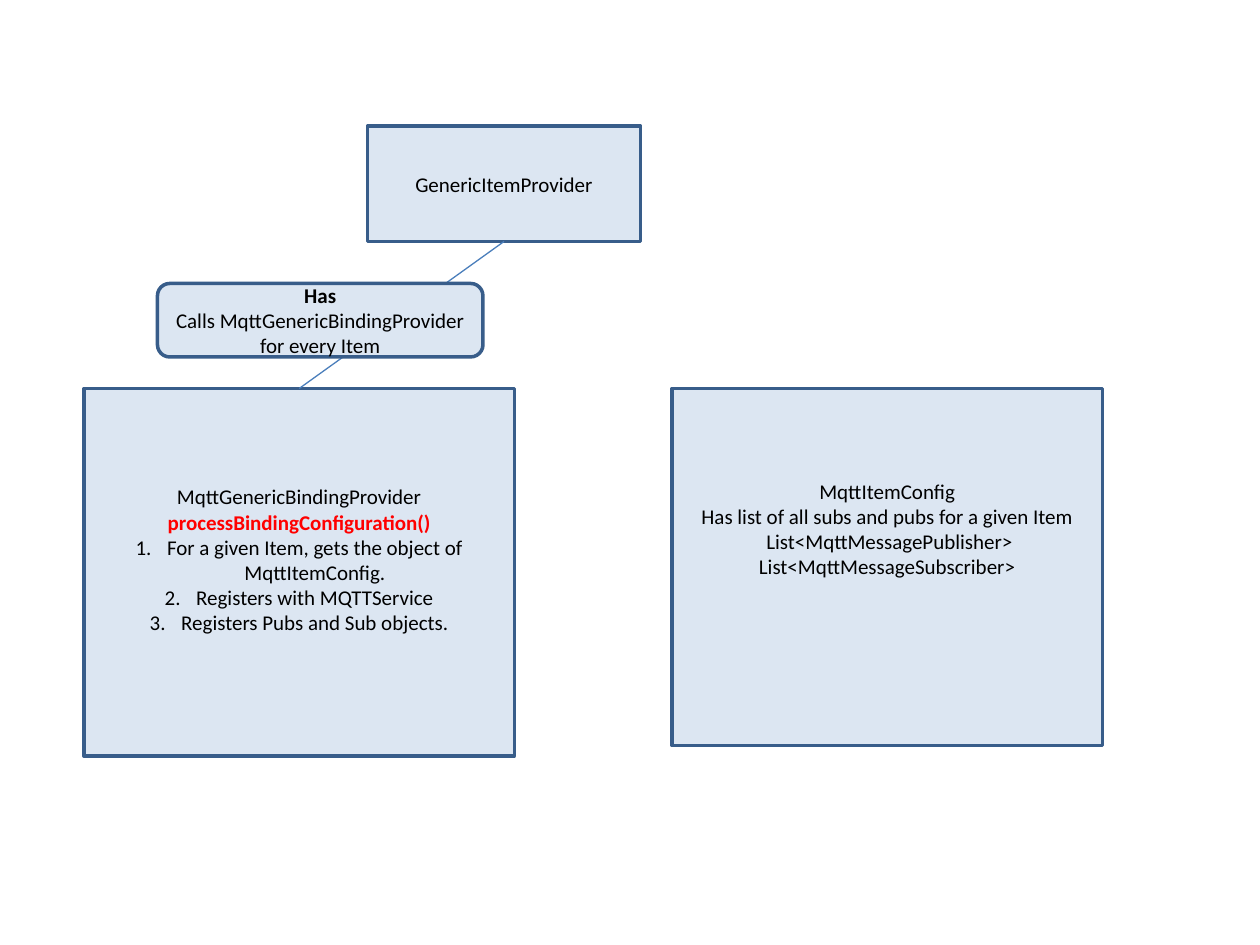
"""Build the class diagram slide for the MQTT item binding."""
import pptx
import pptx.util
import pptx.dml.color
import pptx.enum.shapes
import pptx.enum.text
import pptx.oxml.ns
from lxml import etree

Pt = pptx.util.Pt
RGB = pptx.dml.color.RGBColor.from_string
SHAPE = pptx.enum.shapes.MSO_SHAPE
qn = pptx.oxml.ns.qn
COLORS = {"fill": "DCE6F2", "border": "385D8A", "link": "4A7EBB", "text": "000000", "method": "FF0000"}


def add_text(p, text, color="text", bold=False, numbered=False):
    p.alignment = pptx.enum.text.PP_ALIGN.CENTER
    if numbered:
        pPr = p._p.get_or_add_pPr()
        pPr.set("marL", str(Pt(18)))
        pPr.set("indent", str(-Pt(18)))
        etree.SubElement(pPr, qn("a:buFont"), typeface="+mj-lt")
        etree.SubElement(pPr, qn("a:buAutoNum"), type="arabicPeriod")
    r = p.add_run()
    r.text = text
    r.font.name = "Calibri"
    r.font.size = Pt(12)
    r.font.bold = bold
    r.font.color.rgb = RGB(COLORS[color])


def add_box(s, kind, left, top, width, height, lines, bottom=3.6):
    sp = s.shapes.add_shape(kind, Pt(left), Pt(top), Pt(width), Pt(height))
    sp.shadow.inherit = False
    sp.fill.solid()
    sp.fill.fore_color.rgb = RGB(COLORS["fill"])
    sp.line.color.rgb = RGB(COLORS["border"])
    sp.line.width = Pt(2)
    tf = sp.text_frame
    tf.word_wrap = True
    tf.vertical_anchor = pptx.enum.text.MSO_ANCHOR.MIDDLE
    tf.margin_left = tf.margin_right = Pt(7.2)
    tf.margin_top, tf.margin_bottom = Pt(3.6), Pt(bottom)
    for i, (text, fmt) in enumerate(lines):
        add_text(tf.add_paragraph() if i else tf.paragraphs[0], text, **fmt)
    return sp


prs = pptx.Presentation()
prs.slide_width, prs.slide_height = Pt(720), Pt(540)
s = prs.slides.add_slide(prs.slide_layouts[6])

provider = add_box(s, SHAPE.RECTANGLE, 210, 72, 156, 66, [("GenericItemProvider", {})])
binding = add_box(s, SHAPE.RECTANGLE, 48, 222, 246, 210, [
    ("MqttGenericBindingProvider", {}),
    ("processBindingConfiguration()", {"color": "method", "bold": True}),
    ("For a given Item, gets the object of MqttItemConfig.", {"numbered": True}),
    ("Registers with MQTTService", {"numbered": True}),
    ("Registers Pubs and Sub objects.", {"numbered": True}),
], bottom=18)

link = s.shapes.add_connector(pptx.enum.shapes.MSO_CONNECTOR.STRAIGHT, Pt(288), Pt(138), Pt(171), Pt(222))
link.begin_connect(provider, 2)
link.end_connect(binding, 0)
link.line.color.rgb = RGB(COLORS["link"])
link.line.width = Pt(0.75)
etree.SubElement(link._element.spPr, qn("a:effectLst"))

add_box(s, SHAPE.ROUNDED_RECTANGLE, 90, 162, 186, 42, [
    ("Has", {"bold": True}),
    ("Calls MqttGenericBindingProvider for every Item", {}),
])
add_box(s, SHAPE.RECTANGLE, 384, 222, 246, 204, [
    ("MqttItemConfig", {}),
    ("Has list of all subs and pubs for a given Item", {}),
    (" List<MqttMessagePublisher>", {}),
    ("List<MqttMessageSubscriber>", {}),
], bottom=47.5)

prs.save("out.pptx")
